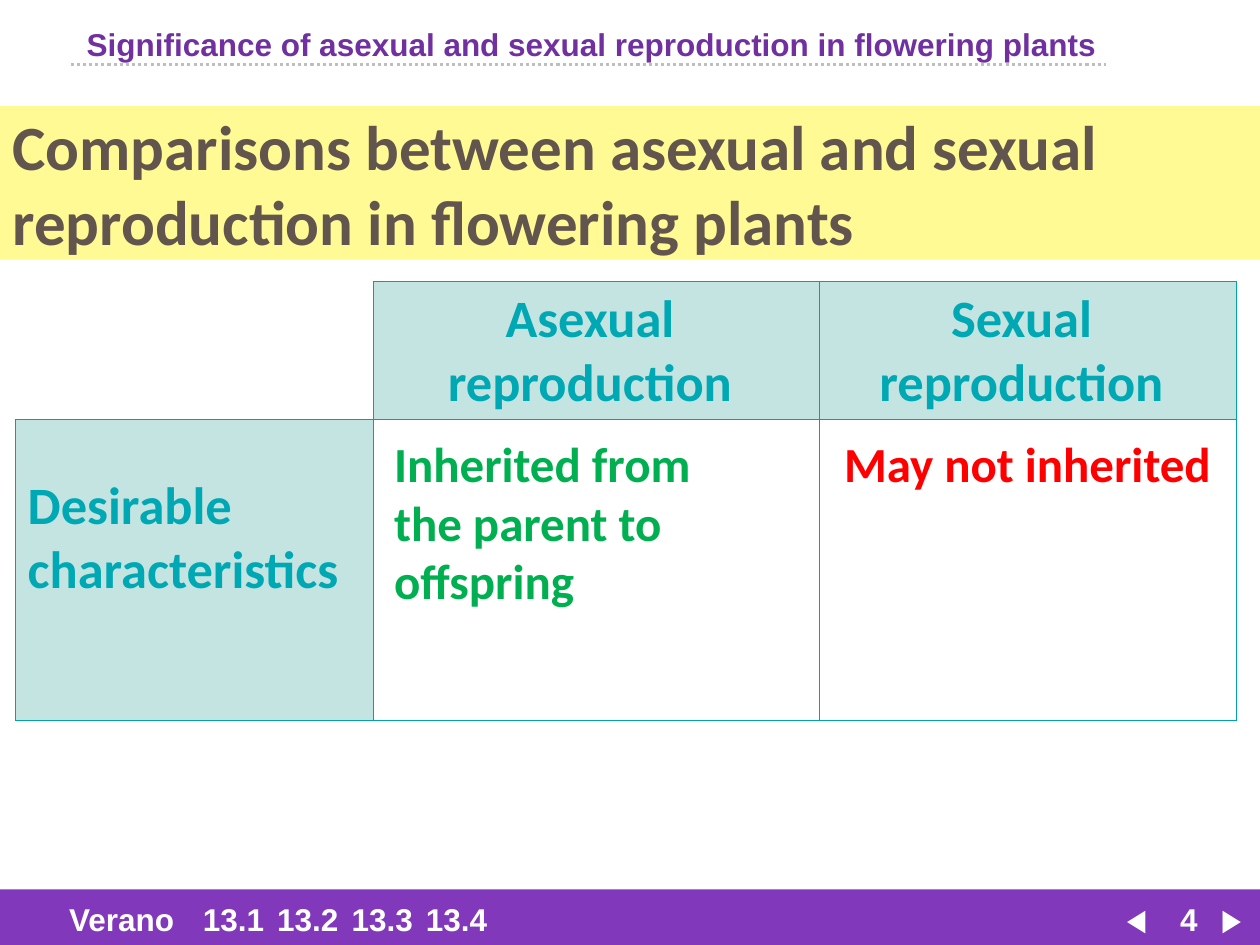
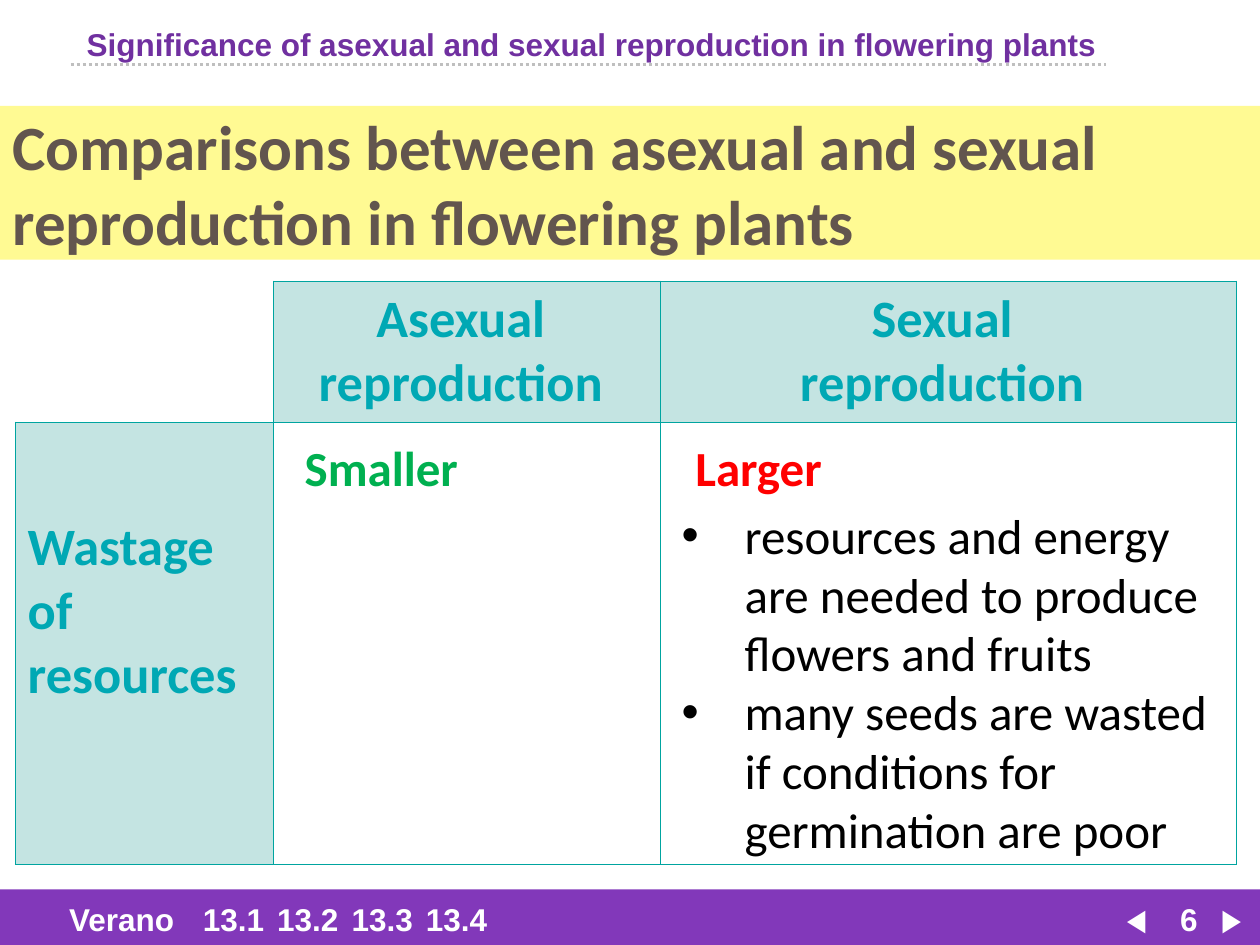
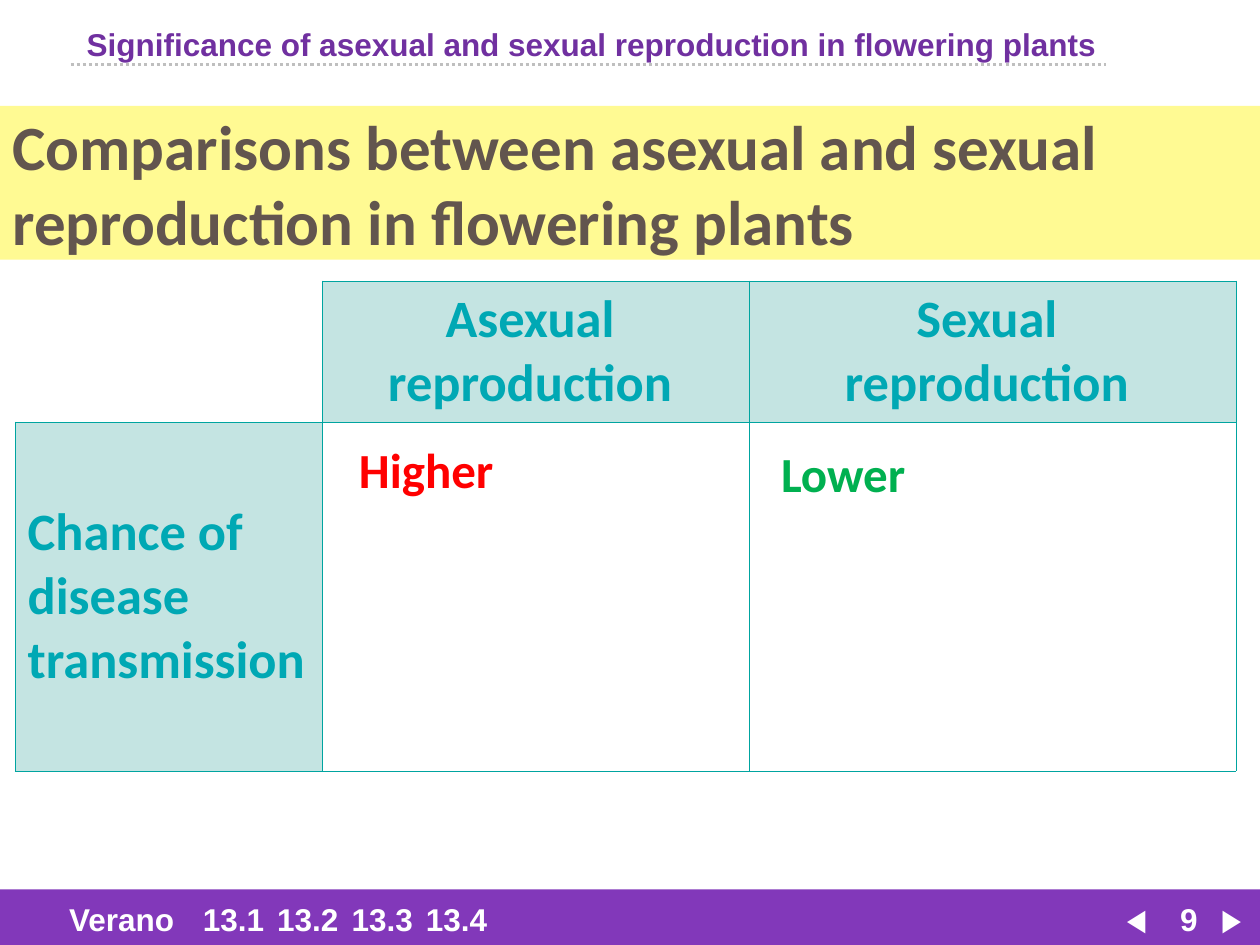
"""Build three slides comparing asexual and sexual reproduction."""
from lxml import etree
from pptx import Presentation
from pptx.dml.color import RGBColor
from pptx.enum import dml, shapes, text
from pptx.oxml import ns
from pptx.util import Inches, Pt

WHITE = RGBColor(0xFF, 0xFF, 0xFF)
BLACK = RGBColor(0x00, 0x00, 0x00)
VIOLET = RGBColor(0x70, 0x30, 0xA0)
PURPLE = RGBColor(0x82, 0x38, 0xBA)
GREY = RGBColor(0xBF, 0xBF, 0xBF)
YELLOW = RGBColor(0xFF, 0xFA, 0x93)
BROWN = RGBColor(0x62, 0x55, 0x4E)
TEAL = RGBColor(0x00, 0xA8, 0xB4)
EDGE = RGBColor(0x00, 0xA4, 0xA0)
MINT = RGBColor(0xC4, 0xE4, 0xE2)
GREEN = RGBColor(0x00, 0xB0, 0x50)
RED = RGBColor(0xFF, 0x00, 0x00)

TOPIC = "Significance of asexual and sexual reproduction in flowering plants"
TITLE = "Comparisons between asexual and sexual reproduction in flowering plants"
HEADS = ["Asexual \nreproduction ", "Sexual \vreproduction "]
PARTS = ["13.1", "13.2", "13.3", "13.4"]
SLIDES = [
    {"page": "4", "label": "Desirable characteristics", "lift": 0.5,
     "cols": [2.84, 3.54, 3.31], "rows": [1.1, 2.39], "points": [],
     "notes": [("Inherited from the parent to\voffspring", (2.95, 3.39, 3.23, 1.5), GREEN, 0.08),
               ("May not inherited", (6.5, 3.39, 3.31, 0.57), RED, 0.1)]},
    {"page": "6", "label": "Wastage of resources", "lift": 0.5,
     "cols": [2.05, 3.07, 4.57], "rows": [1.12, 3.51],
     "points": ["resources and energy are needed to produce flowers and fruits",
                "many seeds are wasted if conditions for germination are poor"],
     "notes": [("Smaller", (2.24, 3.42, 1.65, 0.57), GREEN, 0.08),
               ("Larger", (5.32, 3.42, 1.55, 0.57), RED, 0.1)]},
    {"page": "9", "label": "Chance of disease transmission", "lift": 0,
     "cols": [2.44, 3.39, 3.86], "rows": [1.12, 2.77], "points": [],
     "notes": [("Higher", (2.65, 3.44, 1.55, 0.57), RED, 0.1),
               ("Lower", (6.02, 3.47, 1.45, 0.57), GREEN, 0.08)]},
]

LEFT, MID = text.PP_ALIGN.LEFT, text.PP_ALIGN.CENTER
BAR = {"name": "Arial", "size": Pt(18), "bold": True}
HEAD = {"name": "Calibri", "size": Pt(30), "bold": True}
NOTE = {"name": "Calibri", "size": Pt(28), "bold": True}
FOOT = 7.09


def write(frame, words, color, look, align=LEFT):
    """Put words in a frame and format every paragraph."""
    frame.text = words
    for para in frame.paragraphs:
        para.alignment = align
        para.space_before = Pt(0)
        for run in para.runs:
            for key, value in look.items():
                setattr(run.font, key, value)
            run.font.color.rgb = color


def indent(frame, left, first=0):
    """Set the left and first-line indents of all paragraphs."""
    for para in frame.paragraphs:
        props = para._p.get_or_add_pPr()
        props.set("marL", str(Inches(left)))
        props.set("indent", str(Inches(first)))


def place(shape, box):
    """Move a shape to a box given in inches."""
    for key, value in zip(("left", "top", "width", "height"), box):
        setattr(shape, key, Inches(value))


def label(slide, words, box, color, look, align=LEFT, side=0.1):
    """Add a text box and return its frame."""
    frame = slide.shapes.add_textbox(*map(Inches, box)).text_frame
    frame.word_wrap = True
    frame.margin_left = frame.margin_right = Inches(side)
    write(frame, words, color, look, align)
    return frame


def bars(slide, page):
    """Draw the running header and the footer."""
    label(slide, TOPIC, (0.59, 0.15, 8.9, 0.4), VIOLET, BAR)
    rule = slide.shapes.add_connector(
        shapes.MSO_CONNECTOR.STRAIGHT, *map(Inches, (0.56, 0.51, 8.78, 0.51)))
    rule.line.color.rgb = GREY
    rule.line.width = Pt(1.75)
    rule.line.dash_style = dml.MSO_LINE.ROUND_DOT
    etree.SubElement(rule._element.spPr, ns.qn("a:effectLst"))
    band = slide.shapes.add_shape(
        shapes.MSO_SHAPE.RECTANGLE, *map(Inches, (0, 7.06, 10, 0.46)))
    band.shadow.inherit = False
    band.fill.solid()
    band.fill.fore_color.rgb = PURPLE
    band.line.fill.background()
    label(slide, "Verano", (0.45, FOOT, 1.12, 0.4), WHITE, BAR)
    for i, part in enumerate(PARTS):
        label(slide, part, (1.57 + 0.59 * i, FOOT, 0.63, 0.4), WHITE, BAR, side=0.04)
    label(slide, page, (9.13, FOOT, 0.61, 0.4), WHITE, BAR, MID)
    for arrow, left, wide in (("◀", 8.84, 0.49), ("▶", 9.59, 0.38)):
        label(slide, arrow, (left, FOOT, wide, 0.4), WHITE, {**BAR, "bold": False})


def edge(cell, shown):
    """Draw the shown sides of a cell and hide the others."""
    props = cell._tc.get_or_add_tcPr()
    for i, side in enumerate("LRTB"):
        line = etree.Element(ns.qn("a:ln" + side), w=str(Pt(0.45)))
        if side in shown:
            fill = etree.SubElement(line, ns.qn("a:solidFill"))
            etree.SubElement(fill, ns.qn("a:srgbClr"), val=str(EDGE))
        else:
            etree.SubElement(line, ns.qn("a:noFill"))
        props.insert(i, line)


def grid(slide, item):
    """Add the comparison table."""
    cols, rows = item["cols"], item["rows"]
    table = slide.shapes.add_table(2, 3, *map(
        Inches, (0.12, 2.23, sum(cols), sum(rows)))).table
    table.first_row = table.horz_banding = False
    for parts, key, sizes in ((table.columns, "width", cols), (table.rows, "height", rows)):
        for part, size in zip(parts, sizes):
            setattr(part, key, Inches(size))
    words = [["", *HEADS], [item["label"], "", ""]]
    for r, row in enumerate(words):
        for c, word in enumerate(row):
            cell = table.cell(r, c)
            if word:
                cell.fill.solid()
                cell.fill.fore_color.rgb = MINT
                cell.vertical_anchor = text.MSO_ANCHOR.MIDDLE
                write(cell.text_frame, word, TEAL, HEAD, LEFT if r else MID)
            else:
                cell.fill.background()
            edge(cell, "LRTB" if r or c else "RB")
    table.cell(1, 0).margin_bottom = Inches(0.05 + item["lift"])


def build(deck, item):
    """Add one slide."""
    points = item["points"]
    slide = deck.slides.add_slide(deck.slide_layouts[1 if points else 5])
    title = slide.shapes.title
    place(title, (0, 0.84, 10, 1.22))
    title.fill.solid()
    title.fill.fore_color.rgb = YELLOW
    frame = title.text_frame
    frame.auto_size = text.MSO_AUTO_SIZE.NONE
    frame.vertical_anchor = text.MSO_ANCHOR.MIDDLE
    write(frame, TITLE, BROWN, {**HEAD, "size": Pt(36)})
    bars(slide, item["page"])
    grid(slide, item)
    if points:
        body = slide.placeholders[1]
        place(body, (5.31, 3.96, 4.49, 3.37))
        body.text_frame.auto_size = text.MSO_AUTO_SIZE.NONE
        write(body.text_frame, "\n".join(points), BLACK, {**NOTE, "bold": False})
        indent(body.text_frame, 0.5, -0.5)
    for words, box, color, left in item["notes"]:
        indent(label(slide, words, box, color, NOTE), left)


def main():
    """Build and save the deck."""
    deck = Presentation()
    deck.slide_width, deck.slide_height = Inches(10), Inches(7.5)
    for item in SLIDES:
        build(deck, item)
    deck.save("out.pptx")


if __name__ == "__main__":
    main()
